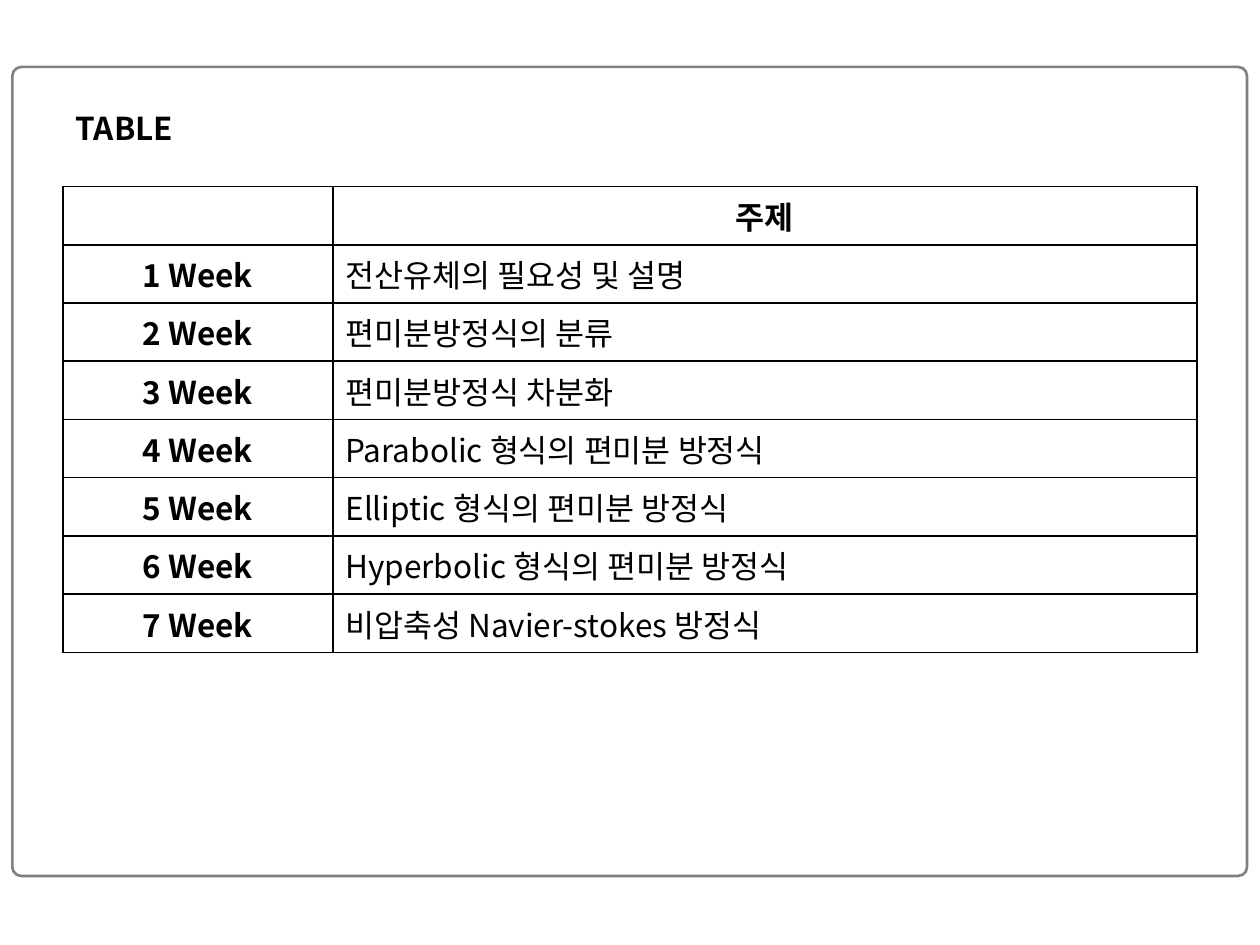
from lxml import etree
from pptx import Presentation
from pptx.dml.color import RGBColor
from pptx.enum.shapes import MSO_SHAPE
from pptx.enum.text import MSO_ANCHOR, MSO_AUTO_SIZE, PP_ALIGN
from pptx.oxml.ns import qn
from pptx.util import Cm, Pt

BLACK = RGBColor(0x00, 0x00, 0x00)
GRAY = RGBColor(0x80, 0x80, 0x80)
ROUNDED = MSO_SHAPE.ROUNDED_RECTANGLE
MIDDLE = MSO_ANCHOR.MIDDLE
LEFT, CENTER = PP_ALIGN.LEFT, PP_ALIGN.CENTER
NO_AUTOFIT = MSO_AUTO_SIZE.NONE
TITLE_ONLY = 5

TOPICS = [
    "전산유체의 필요성 및 설명",
    "편미분방정식의 분류",
    "편미분방정식 차분화",
    "Parabolic 형식의 편미분 방정식",
    "Elliptic 형식의 편미분 방정식",
    "Hyperbolic 형식의 편미분 방정식",
    "비압축성 Navier-stokes 방정식",
]


class SlideBuilder:
    font = "Noto Sans CJK KR"
    size = Pt(18)
    border = Pt(1)

    def __init__(self, slide):
        self.slide = slide

    def set_text(self, text_frame, text, bold, align):
        text_frame.text = text
        para = text_frame.paragraphs[0]
        para.alignment = align
        for span in para.runs:
            span.font.name = self.font
            span.font.size = self.size
            span.font.bold = bold
            span.font.color.rgb = BLACK
            east_asian = etree.SubElement(span.font._element, qn("a:ea"))
            east_asian.set("typeface", self.font)

    def frame(self, left, top, width, height):
        box = self.slide.shapes.add_shape(ROUNDED, left, top, width, height)
        box.adjustments[0] = 0.011
        box.shadow.inherit = False
        box.fill.background()
        box.line.color.rgb = GRAY
        box.line.width = Pt(1.5)

    def title(self, text, left, top, width, height):
        title = self.slide.shapes.title
        title.left, title.top, title.width, title.height = left, top, width, height
        title.text_frame.auto_size = NO_AUTOFIT
        title.text_frame.vertical_anchor = MIDDLE
        self.set_text(title.text_frame, text, True, LEFT)

    def outline(self, cell):
        properties = cell._tc.get_or_add_tcPr()
        for side in ("a:lnL", "a:lnR", "a:lnT", "a:lnB"):
            line = etree.SubElement(properties, qn(side), w=str(self.border))
            fill = etree.SubElement(line, qn("a:solidFill"))
            etree.SubElement(fill, qn("a:srgbClr"), val=str(BLACK))

    def table(self, rows, left, top, widths, row_height):
        shape = self.slide.shapes.add_table(
            len(rows), len(widths), left, top, sum(widths), row_height * len(rows))
        table = shape.table
        table.first_row = table.horz_banding = False
        for column, width in zip(table.columns, widths):
            column.width = width
        for r, values in enumerate(rows):
            for c, value in enumerate(values):
                cell = table.cell(r, c)
                heading = r == 0 or c == 0
                cell.vertical_anchor = MIDDLE
                self.outline(cell)
                cell.fill.background()
                self.set_text(cell.text_frame, value, heading, CENTER if heading else LEFT)


def main():
    deck = Presentation()
    deck.slide_width, deck.slide_height = Cm(25.4), Cm(19.05)
    builder = SlideBuilder(deck.slides.add_slide(deck.slide_layouts[TITLE_ONLY]))

    # Frame and title
    builder.frame(Cm(0.25), Cm(1.35), Cm(24.89), Cm(16.31))
    builder.title("TABLE", Cm(1.27), Cm(2.18), Cm(22.86), Cm(0.79))

    # Weekly schedule
    rows = [("", "주제")]
    rows += [(f"{week} Week", topic) for week, topic in enumerate(TOPICS, 1)]
    builder.table(rows, Cm(1.27), Cm(3.76), (Cm(5.44), Cm(17.42)), Cm(1.03))

    deck.save("out.pptx")


if __name__ == "__main__":
    main()
